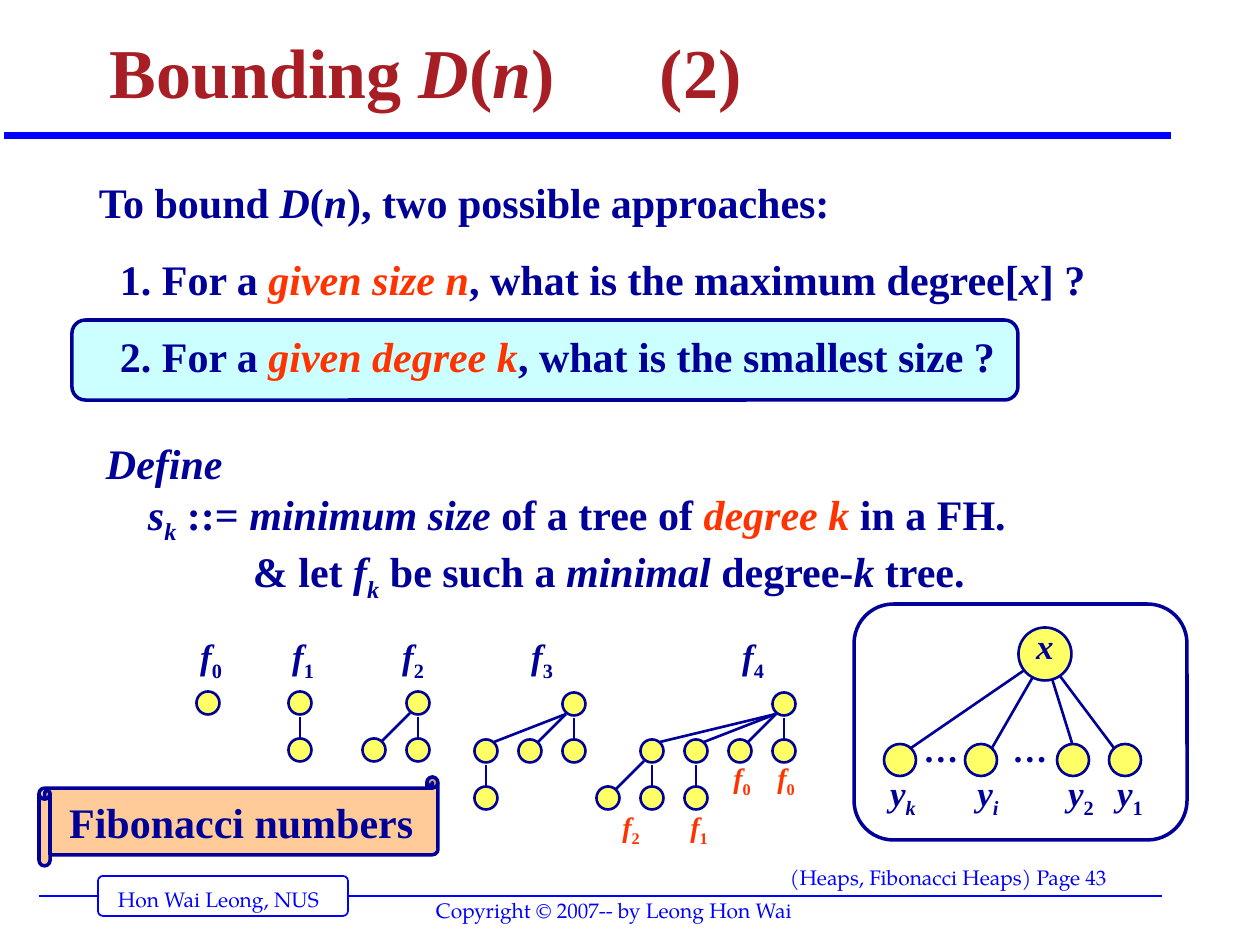
from lxml.etree import SubElement
from pptx import Presentation
from pptx.dml.color import RGBColor
from pptx.enum.shapes import MSO_CONNECTOR, MSO_SHAPE as SHAPE
from pptx.enum.text import MSO_ANCHOR as ANCHOR, PP_ALIGN as ALIGN
from pptx.oxml.ns import qn
from pptx.util import Pt

PX = 914400 / 126
COLORS = {"navy": "000099", "blue": "0000FF", "red": "FF3300", "title": "A81E25",
          "yellow": "FFFF66", "cyan": "CCFFFF", "peach": "FFCC99", "white": "FFFFFF"}
SERIF, FOOTER_FONT = "Times New Roman", "TeX Gyre Pagella"

# Content: a run is (text, flags), with i = italic, s = subscript, r = red
TITLE = [("Bounding ", ""), ("D", "i"), ("(", ""), ("n", "i"), (")\t(2)", "")]
# A paragraph is (indent, space before in points, runs)
APPROACHES = [
    (0, 15, [("To bound ", ""), ("D", "i"), ("(", ""), ("n", "i"),
             ("), two possible approaches:", "")]),
    (21, 15, [("1. For a ", ""), ("given size n", "ir"),
              (", what is the maximum degree[", ""), ("x", "i"), ("] ?", "")]),
    (21, 15, [("2. For a ", ""), ("given degree k", "ir"),
              (", what is the smallest size ?", "")]),
]
DEFINITION = [
    (0, 15, [("Define", "i")]),
    (42, 0, [("s", "i"), ("k", "is"), (" ::= ", ""), ("minimum size", "i"),
             (" of a tree of ", ""), ("degree k", "ir"), (" in a FH.", "")]),
    (147, 0, [("& let ", ""), ("f", "i"), ("k", "is"), (" be such a ", ""),
              ("minimal", "i"), (" degree-", ""), ("k", "i"), (" tree.", "")]),
]
FOOTERS = [("Hon Wai Leong, NUS", 105, 881, 240),
           ("(Heaps, Fibonacci Heaps) Page 43", 777, 859, 433),
           ("Copyright © 2007-- by Leong Hon Wai", 423, 892, 397)]

# Trees: (degree, root x, root y, label x, nodes); a node is (columns left of root, row, parent)
TREES = [
    ("0", 208, 703, 211, []),
    ("1", 300, 703, 303, [(0, 1, 0)]),
    ("2", 418, 703, 413, [(0, 1, 0), (1, 1, 0)]),
    ("3", 574, 704, 542, [(0, 1, 0), (1, 1, 0), (2, 1, 0), (2, 2, 3)]),
    ("4", 784, 704, 753, [(0, 1, 0), (1, 1, 0), (2, 1, 0), (3, 1, 0),
                          (2, 2, 3), (3, 2, 4), (4, 2, 4)]),
]
COLUMN, ROW, NODE = 44, 47, 23
SUBTREES = [("2", 631, 804), ("1", 699, 804), ("0", 742, 755), ("0", 786, 755)]
# Children of x: (index, flags, node x, label x, edge end x, edge end y)
CHILDREN = [("k", "is", 900, 903, 911, 748), ("i", "is", 981, 988, 992, 748),
            ("2", "s", 1073, 1081, 1072, 743), ("1", "s", 1125, 1130, 1114, 748)]
DOTS = [941, 1030]

deck = Presentation()
deck.slide_width, deck.slide_height = round(1260 * PX), round(945 * PX)
page = deck.slides.add_slide(deck.slide_layouts[6])


def emu(*lengths):
    return [round(length * PX) for length in lengths]


def rgb(name):
    return RGBColor.from_string(COLORS[name])


def write(frame, paras, size, color="navy", font=SERIF, bold=True, align=ALIGN.LEFT,
          anchor=ANCHOR.TOP, wrap=True, inset=(6, 6)):
    frame.word_wrap, frame.vertical_anchor = wrap, anchor
    frame.margin_left = frame.margin_right = emu(inset[0])[0]
    frame.margin_top = frame.margin_bottom = emu(inset[1])[0]
    for number, (indent, before, runs) in enumerate(paras):
        para = frame.add_paragraph() if number else frame.paragraphs[0]
        para.alignment, para.space_before = align, Pt(before)
        if indent:
            para._p.get_or_add_pPr().set("marL", str(emu(indent)[0]))
        for text, flags in runs:
            span = para.add_run()
            span.text = text
            span.font.name, span.font.size = font, Pt(size)
            span.font.bold, span.font.italic = bold, "i" in flags
            span.font.color.rgb = rgb("red" if "r" in flags else color)
            if "s" in flags:
                span._r.get_or_add_rPr().set("baseline", "-25000")


def add_text(x, y, width, height, paras, size, **style):
    box = page.shapes.add_textbox(*emu(x, y, width, height))
    write(box.text_frame, paras, size, **style)
    return box


def add_label(center, y, width, runs, size, before=0, color="navy"):
    add_text(center - width / 2, y, width, 60, [(0, before, runs)], size,
             color=color, align=ALIGN.CENTER)


def add_shape(kind, x, y, width, height, fill=None, line="navy", weight=2, corner=None):
    shape = page.shapes.add_shape(kind, *emu(x, y, width, height))
    shape.shadow.inherit = False
    if fill:
        shape.fill.solid()
        shape.fill.fore_color.rgb = rgb(fill)
    else:
        shape.fill.background()
    shape.line.color.rgb, shape.line.width = rgb(line), Pt(weight)
    if corner:
        shape.adjustments[0] = corner
    return shape


def add_node(x, y, size):
    return add_shape(SHAPE.OVAL, x - size / 2, y - size / 2, size, size, "yellow", weight=1.5)


def add_line(x1, y1, x2, y2, color="navy", weight=1.5):
    line = page.shapes.add_connector(MSO_CONNECTOR.STRAIGHT, *emu(x1, y1, x2, y2))
    line.line.color.rgb, line.line.width = rgb(color), Pt(weight)
    SubElement(line._element.spPr, qn("a:effectLst"))


# Footer and title rule
add_line(39, 896, 1162, 896, "blue", 1)
add_shape(SHAPE.ROUNDED_RECTANGLE, 98, 876, 250, 40, "white", "blue", 1, 0.125)
add_line(4, 136, 1171, 136, "blue", 4)
for text, x, y, width in FOOTERS:
    add_text(x, y, width, 38, [(0, 0, [(text, "")])], 12, color="blue",
             font=FOOTER_FONT, bold=False, inset=(13, 6))

# Title, with a tab stop before the part number
title = add_text(97, 10, 1071, 110, [(0, 0, TITLE)], 40, color="title",
                 anchor=ANCHOR.BOTTOM, inset=(13, 6))
title_para = title.text_frame.paragraphs[0]
title_para.line_spacing = 0.9
tabs = SubElement(title_para._p.get_or_add_pPr(), qn("a:tabLst"))
SubElement(tabs, qn("a:tab"), pos=str(emu(550)[0]), algn="l")

# Body text over the highlighted approach
add_shape(SHAPE.ROUNDED_RECTANGLE, 72, 320, 946, 80, "cyan", corner=0.167)
add_text(100, 432, 942, 178, DEFINITION, 24)
add_text(93, 171, 1058, 217, APPROACHES, 24)

# Minimal trees
for degree, root_x, root_y, label_x, nodes in TREES:
    centers = [(root_x, root_y)]
    add_node(root_x, root_y, NODE)
    for column, row, parent in nodes:
        x, y = root_x - COLUMN * column, root_y + ROW * row
        parent_x, parent_y = centers[parent]
        centers.append((x, y))
        add_node(x, y, NODE)
        if x == parent_x:
            add_line(x, parent_y + 14, x, y - 13)
        else:
            add_line(parent_x - 8, parent_y + 10, x + 8, y - 9)
    add_label(label_x, 629, 57, [("f", "i"), (degree, "s")], 20, 12.5)
for degree, x, y in SUBTREES:
    add_label(x, y, 57, [("f", "i"), (degree, "s")], 16, 10, "red")

# Node x and its children
add_shape(SHAPE.ROUNDED_RECTANGLE, 854, 604, 333, 236, corner=0.167)
for index, flags, x, label_x, end_x, end_y in CHILDREN:
    add_node(x, 760, 32)
    add_line(1045, 656, end_x, end_y)
    add_label(label_x, 766, 81, [("y", "i"), (index, flags)], 20)
for x in DOTS:
    add_label(x, 722, 72, [("…", "")], 20, 12.5)
write(add_node(1045, 654, 53).text_frame, [(0, 0, [("x", "i")])], 20,
      align=ALIGN.CENTER, anchor=ANCHOR.BOTTOM, wrap=False)

# Scroll
scroll = add_shape(SHAPE.HORIZONTAL_SCROLL, 39, 777, 399, 89, "peach", corner=0.125)
write(scroll.text_frame, [(0, 15, [("Fibonacci numbers", "")])], 24,
      align=ALIGN.CENTER, anchor=ANCHOR.MIDDLE, wrap=False)

deck.save("out.pptx")
